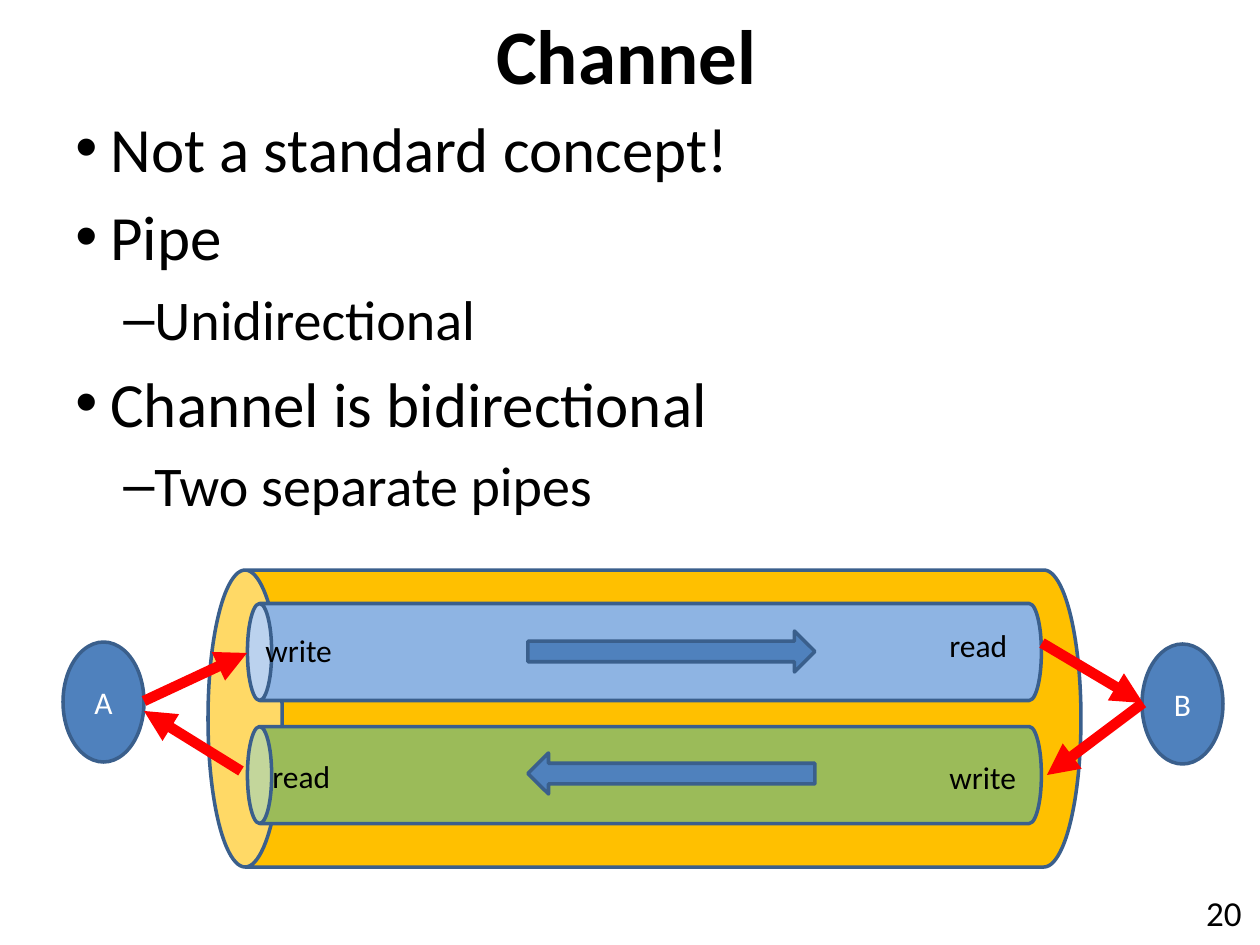
from dataclasses import dataclass
from typing import Any

from lxml import etree
from pptx import Presentation
from pptx import util as u
from pptx.dml import color
from pptx.enum import shapes, text
from pptx.oxml import ns

SCALE = 914400 / 126
Kind = shapes.MSO_SHAPE
Side = text.PP_ALIGN
Mid = text.MSO_ANCHOR.MIDDLE
Top = text.MSO_ANCHOR.TOP


@dataclass(frozen=True)
class Theme:
    font: str = "Calibri"
    ink: str = "000000"
    pale: str = "FFFFFF"
    edge: str = "3A5F8C"
    blue: str = "4F81BD"
    gold: str = "FFC000"
    sky: str = "8EB4E3"
    green: str = "9BBB59"
    red: str = "FF0000"
    title: int = 44
    body: tuple[int, int] = (36, 32)
    page: int = 20
    label: int = 18
    thin: int = 2
    thick: int = 6


@dataclass(frozen=True)
class Box:
    x: int
    y: int
    w: int
    h: int


@dataclass(frozen=True)
class Form:
    kind: Any
    box: Box
    fill: str
    turn: int = 0
    word: str = ""


@dataclass(frozen=True)
class Label:
    word: str
    box: Box


@dataclass(frozen=True)
class Arrow:
    x1: int
    y1: int
    x2: int
    y2: int


@dataclass(frozen=True)
class Item:
    word: str
    level: int = 0


@dataclass(frozen=True)
class Level:
    mark: str
    left: int
    hang: int


THEME = Theme()
LEVELS = (Level("•", 35, 35), Level("–", 77, 29))

ITEMS = (
    Item("Not a standard concept!"),
    Item("Pipe"),
    Item("Unidirectional", 1),
    Item("Channel is bidirectional"),
    Item("Two separate pipes", 1),
)

FORMS = (
    Form(Kind.CAN, Box(496, 282, 297, 873), THEME.gold, 270),
    Form(Kind.CAN, Box(596, 255, 97, 794), THEME.sky, 270),
    Form(Kind.CAN, Box(596, 378, 97, 794), THEME.green, 270),
    Form(Kind.RIGHT_ARROW, Box(528, 631, 287, 41), THEME.blue),
    Form(Kind.RIGHT_ARROW, Box(528, 753, 287, 41), THEME.blue, 180),
    Form(Kind.OVAL, Box(63, 642, 81, 120), THEME.blue, 0, "A"),
    Form(Kind.OVAL, Box(1142, 644, 81, 120), THEME.blue, 0, "B"),
)

LABELS = (
    Label("write", Box(937, 752, 93, 50)),
    Label("write", Box(253, 625, 93, 50)),
    Label("read", Box(937, 620, 84, 50)),
    Label("read", Box(260, 751, 84, 50)),
)

ARROWS = (
    Arrow(144, 701, 247, 653),
    Arrow(241, 771, 144, 711),
    Arrow(1042, 643, 1143, 703),
    Arrow(1143, 703, 1047, 775),
)


def px(*vals: int) -> list[int]:
    return [round(val * SCALE) for val in vals]


def rgb(code: str) -> color.RGBColor:
    return color.RGBColor.from_string(code)


def put(thing: Any, vals: dict[str, Any]) -> None:
    for key, val in vals.items():
        setattr(thing, key, val)


def node(root: Any, tag: str, **vals: Any) -> Any:
    return etree.SubElement(root, ns.qn(tag), {key: str(val) for key, val in vals.items()})


def write(para: Any, word: str, size: int, ink: str = THEME.ink, bold: bool = False) -> Any:
    run = para.add_run()
    run.text = word
    put(run.font, {"size": u.Pt(size), "bold": bold})
    run.font.color.rgb = rgb(ink)
    run.font.name = THEME.font
    return run


def frame(slide: Any, box: Box, **vals: Any) -> Any:
    body = slide.shapes.add_textbox(*px(box.x, box.y, box.w, box.h)).text_frame
    put(body, {"word_wrap": True, "vertical_anchor": Top, **vals})
    return body


def stroke(line: Any, ink: str, width: int) -> None:
    line.color.rgb = rgb(ink)
    line.width = u.Pt(width)


def title(slide: Any) -> None:
    para = frame(slide, Box(21, 3, 1211, 102), vertical_anchor=Mid).paragraphs[0]
    para.alignment = Side.CENTER
    run = write(para, "Channel", THEME.title, bold=True)
    prop = run.font.fill._xPr
    glow = node(prop, "a:effectLst")
    cast = node(glow, "a:outerShdw", blurRad=38100, dist=38100, dir=2700000, algn="tl")
    tint = node(cast, "a:srgbClr", val=THEME.ink)
    node(tint, "a:alpha", val=43000)
    prop.find(ns.qn("a:solidFill")).addnext(glow)


def bullets(slide: Any) -> None:
    body = frame(slide, Box(63, 103, 1134, 776))
    for num, item in enumerate(ITEMS):
        para = body.add_paragraph() if num else body.paragraphs[0]
        para.level = item.level
        level = LEVELS[item.level]
        prop = para._p.get_or_add_pPr()
        left, hang = px(level.left, level.hang)
        prop.set("marL", str(left))
        prop.set("indent", str(-hang))
        node(node(prop, "a:spcBef"), "a:spcPct", val=20000)
        node(prop, "a:buFont", typeface="Arial")
        node(prop, "a:buChar", char=level.mark)
        write(para, item.word, THEME.body[item.level])


def page(slide: Any) -> None:
    para = frame(slide, Box(960, 888, 294, 50), vertical_anchor=Mid).paragraphs[0]
    para.alignment = Side.RIGHT
    write(para, "20", THEME.page)


def form(slide: Any, part: Form) -> None:
    box = part.box
    shape = slide.shapes.add_shape(part.kind, *px(box.x, box.y, box.w, box.h))
    shape.rotation = part.turn
    shape.shadow.inherit = False
    shape.fill.solid()
    shape.fill.fore_color.rgb = rgb(part.fill)
    stroke(shape.line, THEME.edge, THEME.thin)
    if part.word:
        shape.text_frame.vertical_anchor = Mid
        para = shape.text_frame.paragraphs[0]
        para.alignment = Side.CENTER
        write(para, part.word, THEME.label, THEME.pale)


def label(slide: Any, part: Label) -> None:
    fit = text.MSO_AUTO_SIZE.SHAPE_TO_FIT_TEXT
    body = frame(slide, part.box, word_wrap=False, auto_size=fit)
    write(body.paragraphs[0], part.word, THEME.label)


def arrow(slide: Any, part: Arrow) -> None:
    ends = px(part.x1, part.y1, part.x2, part.y2)
    link = slide.shapes.add_connector(shapes.MSO_CONNECTOR.STRAIGHT, *ends)
    stroke(link.line, THEME.red, THEME.thick)
    node(link.line._get_or_add_ln(), "a:tailEnd", type="triangle")
    node(link._element.spPr, "a:effectLst")


def main() -> None:
    deck = Presentation()
    wide, high = px(1260, 945)
    put(deck, {"slide_width": wide, "slide_height": high})
    slide = deck.slides.add_slide(deck.slide_layouts[6])
    for draw in (bullets, title, page):
        draw(slide)
    for draw, parts in ((form, FORMS), (label, LABELS), (arrow, ARROWS)):
        for part in parts:
            draw(slide, part)
    deck.save("out.pptx")


if __name__ == "__main__":
    main()
